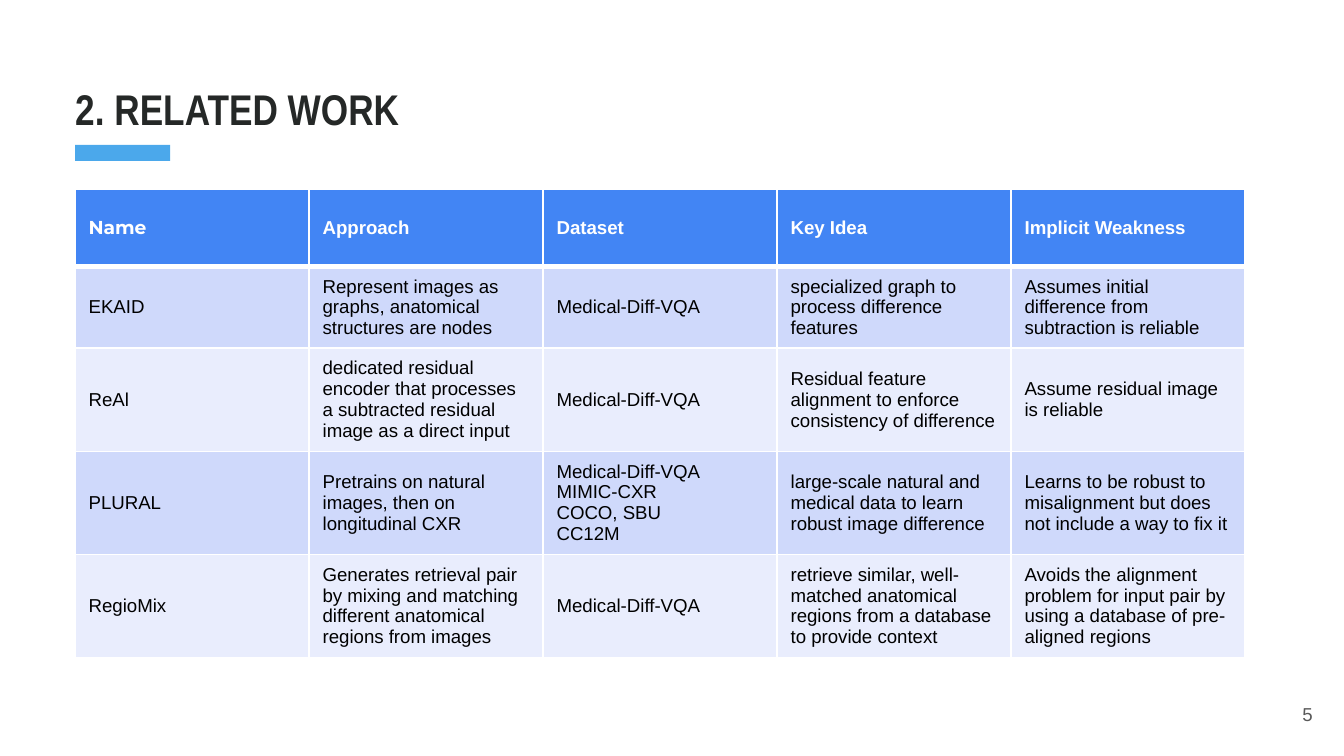
from lxml import etree
from pptx import Presentation
from pptx.dml.color import RGBColor
from pptx.enum.shapes import MSO_SHAPE
from pptx.enum.text import MSO_ANCHOR, MSO_AUTO_SIZE, PP_ALIGN
from pptx.oxml.ns import qn
from pptx.util import Inches, Pt

RECT = MSO_SHAPE.RECTANGLE
TOP, MIDDLE = MSO_ANCHOR.TOP, MSO_ANCHOR.MIDDLE
LEFT, RIGHT = PP_ALIGN.LEFT, PP_ALIGN.RIGHT
FIXED = MSO_AUTO_SIZE.NONE

HEADS = ["Name", "Approach", "Dataset", "Key Idea", "Implicit Weakness"]
WORKS = [
    ["EKAID",
     "Represent images as graphs, anatomical structures are nodes",
     "Medical-Diff-VQA",
     "specialized graph to process difference features",
     "Assumes initial difference from subtraction is reliable"],
    ["ReAl",
     "dedicated residual encoder that processes a subtracted residual image as a direct input",
     "Medical-Diff-VQA",
     "Residual feature alignment to enforce consistency of difference",
     "Assume residual image is reliable"],
    ["PLURAL",
     "Pretrains on natural images, then on longitudinal CXR",
     "Medical-Diff-VQA\nMIMIC-CXR\nCOCO, SBU\nCC12M",
     "large-scale natural and medical data to learn robust image difference",
     "Learns to be robust to misalignment but does not include a way to fix it"],
    ["RegioMix",
     "Generates retrieval pair by mixing and matching different anatomical regions from images",
     "Medical-Diff-VQA",
     "retrieve similar, well-matched anatomical regions from a database to provide context",
     "Avoids the alignment problem for input pair by using a database of pre-aligned regions"],
]
HEIGHTS = [5.76, 5.96, 7.68, 7.68, 7.68]


def color(code):
    return RGBColor.from_string(code)


def grid(*units):
    return [Inches(unit / 10) for unit in units]


def write(frame, text, size=10, font="Arial", ink="000000", bold=False,
          align=LEFT, anchor=MIDDLE):
    frame.word_wrap = True
    frame.vertical_anchor = anchor
    for i, line in enumerate(text.split("\n")):
        para = frame.add_paragraph() if i else frame.paragraphs[0]
        para.alignment = align
        run = para.add_run()
        run.text = line
        run.font.size = Pt(size)
        run.font.name = font
        run.font.bold = bold
        run.font.color.rgb = color(ink)


class Deck:
    white, blue, sky = "FFFFFF", "4285F4", "4BA8EB"
    bands = ["CFD9FB", "E9EDFD"]
    dark, gray = "252827", "595959"

    def __init__(self):
        self.show = Presentation()
        self.show.slide_width, self.show.slide_height = grid(100, 56.25)
        self.slide = self.show.slides.add_slide(self.show.slide_layouts[5])

    def inset(self, frame):
        frame.auto_size = FIXED
        frame.margin_left, frame.margin_right, frame.margin_top, frame.margin_bottom = grid(1, 1, 1, 1)

    def title(self, text, box):
        shape = self.slide.shapes.title
        shape.left, shape.top, shape.width, shape.height = grid(*box)
        self.inset(shape.text_frame)
        write(shape.text_frame, text, size=23, font="Arial Narrow",
              ink=self.dark, bold=True, anchor=TOP)

    def number(self, text, box):
        frame = self.slide.shapes.add_textbox(*grid(*box)).text_frame
        self.inset(frame)
        write(frame, text, ink=self.gray, align=RIGHT)

    def bar(self, box):
        shape = self.slide.shapes.add_shape(RECT, *grid(*box))
        shape.shadow.inherit = False
        shape.fill.solid()
        shape.fill.fore_color.rgb = color(self.sky)
        shape.line.fill.background()

    def edge(self, cell, side, width):
        props = cell._tc.get_or_add_tcPr()
        line = etree.SubElement(props, qn("a:ln" + side), w=str(Pt(width)))
        fill = etree.SubElement(line, qn("a:solidFill"))
        etree.SubElement(fill, qn("a:srgbClr"), val=self.white)

    def cell(self, cell, text, row, col):
        head = row == 0
        for side in "LRTB":
            thick = (head and side == "B") or (row == 1 and side == "T")
            self.edge(cell, side, 3 if thick else 1)
        cell.fill.solid()
        cell.fill.fore_color.rgb = color(self.blue if head else self.bands[(row - 1) % 2])
        cell.vertical_anchor = MIDDLE
        cell.margin_left, cell.margin_right, cell.margin_top, cell.margin_bottom = grid(1, 1, 0.7, 0.7)
        write(cell.text_frame, text, bold=head,
              font="Montserrat" if head and col == 0 else "Arial",
              ink=self.white if head else "000000")

    def table(self, rows, heights, left, top, width):
        box = grid(left, top, width, sum(heights))
        table = self.slide.shapes.add_table(len(rows), len(rows[0]), *box).table
        table.horz_banding = False
        for r, (texts, height) in enumerate(zip(rows, heights)):
            table.rows[r].height = grid(height)[0]
            for c, text in enumerate(texts):
                self.cell(table.cell(r, c), text, r, c)


def main():
    deck = Deck()
    deck.title("2. RELATED WORK", (4.6, 5.14, 73.4, 5.9))
    deck.number("5", (92.65, 51, 6, 4.3))
    deck.bar((5.6, 10.77, 7.06, 1.2))
    deck.table([HEADS] + WORKS, HEIGHTS, 5.6, 14.1, 87.06)
    deck.show.save("out.pptx")


if __name__ == "__main__":
    main()
